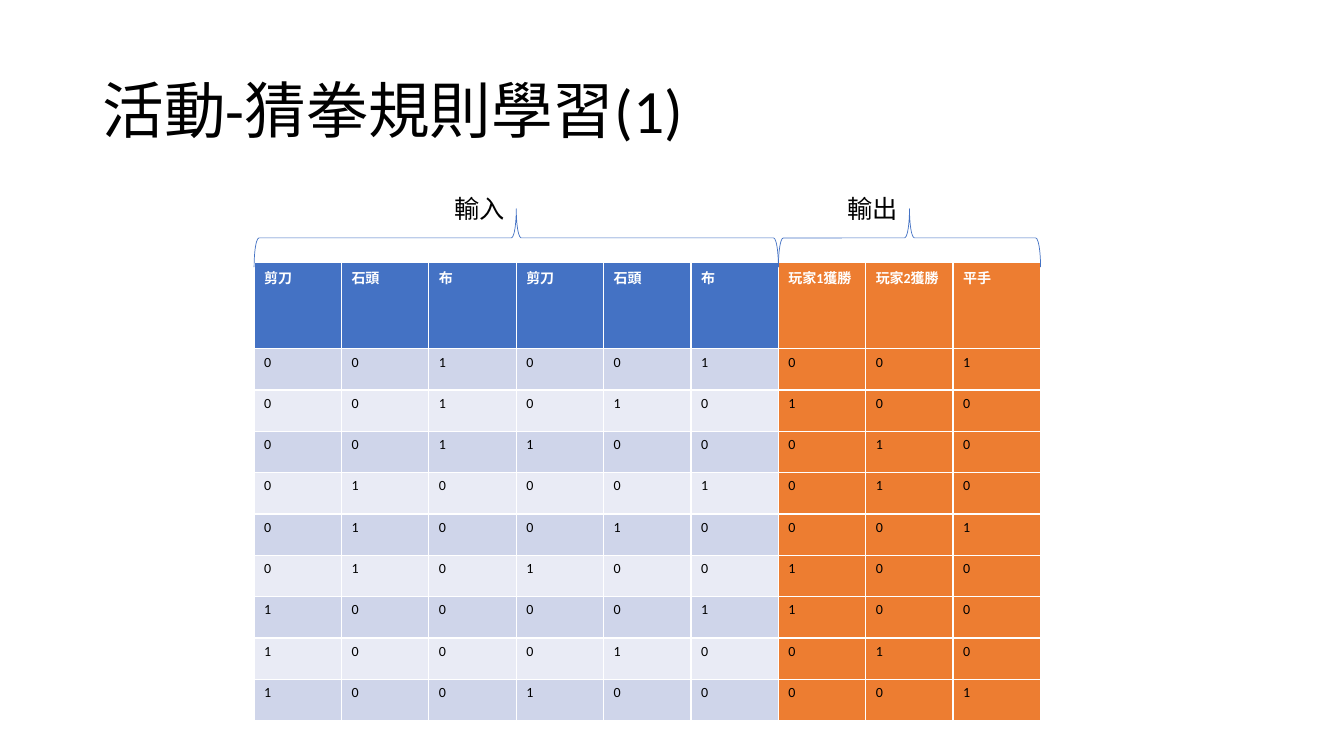
from itertools import product

from pptx import Presentation, util as u
from pptx.dml.color import RGBColor
from pptx.enum import shapes, text

FONT = "Calibri"
BLUE, ORANGE = "4472C4", "ED7D31"
BANDS = ("CFD5EA", "E9EBF5")
HANDS = ["剪刀", "石頭", "布"]
OUTCOMES = ["玩家1獲勝", "玩家2獲勝", "平手"]
INPUT_COLS = 2 * len(HANDS)
COLS = INPUT_COLS + len(OUTCOMES)
COL_W = 7.8 / COLS
HEADER_H, ROW_H = 0.86, 0.41
TABLE_LEFT, TABLE_TOP = 2.52, 2.6


def color(hex_code):
    return RGBColor.from_string(hex_code)


def style(paragraph, size, hex_code="000000", bold=False):
    font = paragraph.font
    font.name, font.size, font.bold = FONT, u.Pt(size), bold
    font.color.rgb = color(hex_code)


def inches(*lengths):
    return [u.Inches(length) for length in lengths]


def one_hot(index):
    return ["1" if i == index else "0" for i in range(3)]


def game_rows():
    """Every pair of hands, followed by who wins."""
    return [one_hot(first) + one_hot(second) + one_hot((first - second - 1) % 3)
            for first, second in product((2, 1, 0), repeat=2)]


def add_title(slide, left, top, width, height):
    frame = slide.shapes.add_textbox(*inches(left, top, width, height)).text_frame
    frame.word_wrap = True
    frame.vertical_anchor = text.MSO_ANCHOR.MIDDLE
    frame.text = "活動-猜拳規則學習(1)"
    frame.paragraphs[0].line_spacing = 0.9
    style(frame.paragraphs[0], 44)


def add_rules_table(slide, left, top):
    rows = [HANDS * 2 + OUTCOMES] + game_rows()
    height = HEADER_H + ROW_H * (len(rows) - 1)
    table = slide.shapes.add_table(
        len(rows), COLS, *inches(left, top, COL_W * COLS, height)).table
    for column in table.columns:
        column.width = u.Inches(COL_W)
    for r, values in enumerate(rows):
        header = r == 0
        table.rows[r].height = u.Inches(HEADER_H if header else ROW_H)
        input_fill = BLUE if header else BANDS[(r - 1) % 2]
        for c, value in enumerate(values):
            cell = table.cell(r, c)
            cell.fill.solid()
            cell.fill.fore_color.rgb = color(input_fill if c < INPUT_COLS else ORANGE)
            cell.text = value
            style(cell.text_frame.paragraphs[0], 10,
                  "FFFFFF" if header else "000000", header)


def add_braced_label(slide, label, left, top, width, height):
    """A brace spanning the box, its label ending at the tip."""
    middle = left + width / 2
    brace = slide.shapes.add_shape(
        shapes.MSO_SHAPE.LEFT_BRACE,
        *inches(middle - height / 2, top + height / 2 - width / 2, height, width))
    brace.rotation = 90
    brace.shadow.inherit = False
    brace.fill.background()
    brace.line.color.rgb = color(BLUE)
    brace.line.width = u.Pt(0.5)

    label_w, label_h = 0.71, 0.4
    frame = slide.shapes.add_textbox(
        *inches(middle - label_w, top - label_h / 2, label_w, label_h)).text_frame
    frame.word_wrap = False
    frame.auto_size = text.MSO_AUTO_SIZE.SHAPE_TO_FIT_TEXT
    frame.text = label
    style(frame.paragraphs[0], 18)


def main():
    prs = Presentation()
    prs.slide_width, prs.slide_height = inches(13.33, 7.5)
    slide = prs.slides.add_slide(prs.slide_layouts[6])
    add_title(slide, 0.92, 0.4, 11.5, 1.45)
    add_rules_table(slide, TABLE_LEFT, TABLE_TOP)
    for label, first, count in (("輸入", 0, INPUT_COLS),
                                ("輸出", INPUT_COLS, len(OUTCOMES))):
        add_braced_label(slide, label, TABLE_LEFT + first * COL_W,
                         TABLE_TOP - 0.53, count * COL_W, 0.58)
    prs.save("out.pptx")


if __name__ == "__main__":
    main()
